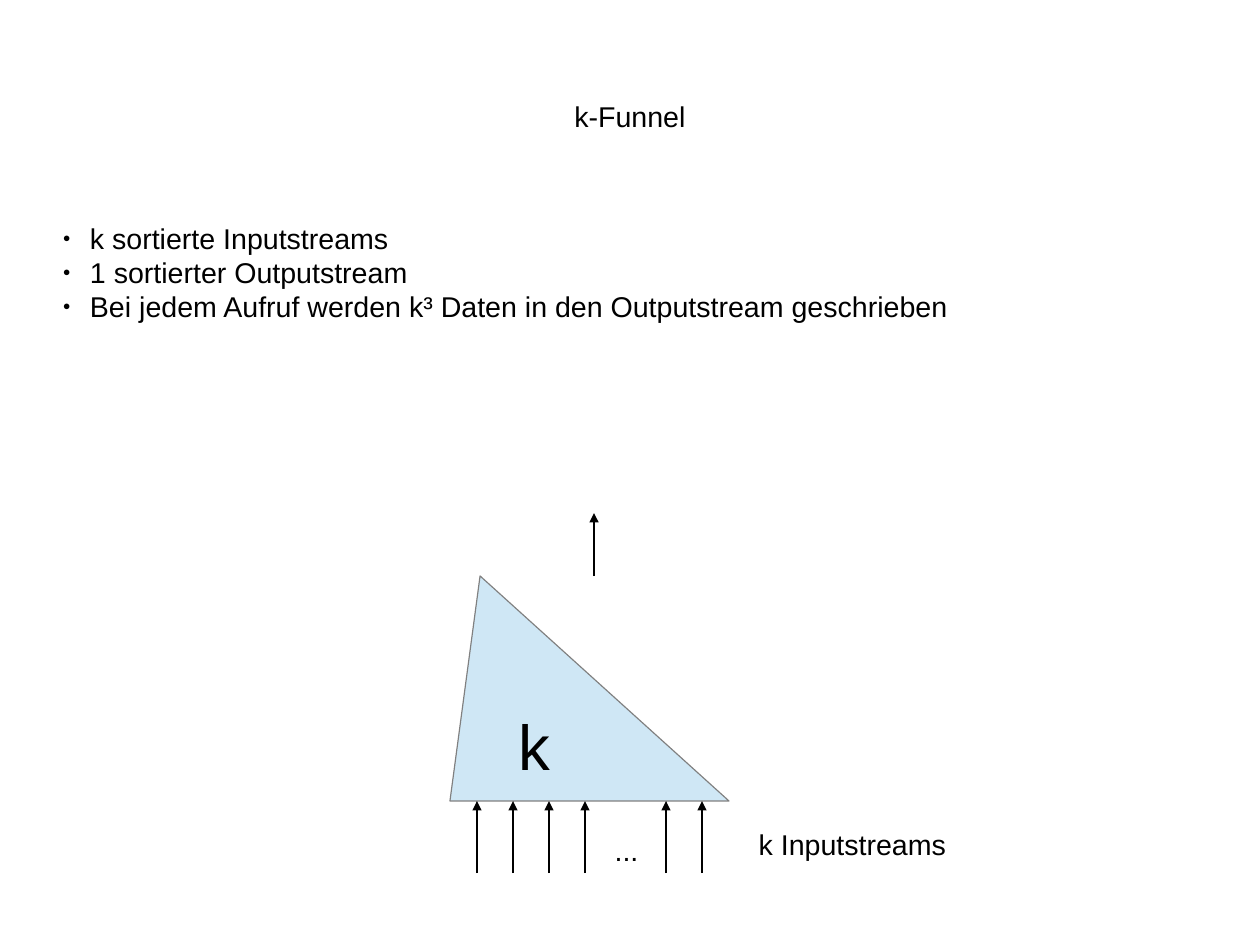
from lxml.etree import SubElement
from pptx import Presentation
from pptx.dml.color import RGBColor
from pptx.enum.shapes import MSO_CONNECTOR, MSO_SHAPE
from pptx.enum.text import MSO_ANCHOR, PP_ALIGN
from pptx.oxml.ns import qn
from pptx.util import Cm, Pt

TITLE = "k-Funnel"
POINTS = [
    "k sortierte Inputstreams",
    "1 sortierter Outputstream",
    "Bei jedem Aufruf werden k³ Daten in den Outputstream geschrieben",
]
FUNNEL = "k"
LABELS = [
    ("...", (13.41, 18.39, 2.39, 0.97)),
    ("k Inputstreams", (16.61, 18.24, 6, 0.97)),
]
GROUPS = [(10.6, 4), (14.8, 2)]
COLORS = {"text": "000000", "fill": "CFE7F5", "edge": "808080", "arrow": "000000"}

LEFT, TOP, WIDE, HIGH = 10, 12.8, 6.2, 5
BASE = TOP + HIGH
STEP = 0.8


def color(name):
    return RGBColor.from_string(COLORS[name])


def add_dot(para):
    props = para._p.get_or_add_pPr()
    props.set("marL", str(Cm(0.6)))
    props.set("indent", str(-Cm(0.6)))
    SubElement(props, qn("a:buSzPct"), val="45000")
    SubElement(props, qn("a:buFont"), typeface="Arial")
    SubElement(props, qn("a:buChar"), char="●")


def write(shape, *lines, size=18, align=PP_ALIGN.LEFT, anchor=MSO_ANCHOR.TOP,
          inset=(0.25, 0.13), dots=False):
    frame = shape.text_frame
    frame.word_wrap = True
    frame.vertical_anchor = anchor
    frame.margin_left = frame.margin_right = Cm(inset[0])
    frame.margin_top = frame.margin_bottom = Cm(inset[1])
    for i, line in enumerate(lines):
        para = frame.add_paragraph() if i else frame.paragraphs[0]
        para.alignment = align
        if dots:
            add_dot(para)
        run = para.add_run()
        run.text = line
        run.font.name = "Arial"
        run.font.size = Pt(size)
        run.font.color.rgb = color("text")


def add_box(slide, place, *lines, **style):
    write(slide.shapes.add_textbox(*map(Cm, place)), *lines, **style)


def add_arrow(slide, x, start, end):
    line = slide.shapes.add_connector(
        MSO_CONNECTOR.STRAIGHT, Cm(x), Cm(start), Cm(x), Cm(end))
    line.line.color.rgb = color("arrow")
    line.line.width = Pt(0.75)
    SubElement(line.line._get_or_add_ln(), qn("a:tailEnd"), type="triangle")
    SubElement(line._element.spPr, qn("a:effectLst"))


def add_funnel(slide):
    shape = slide.shapes.add_shape(
        MSO_SHAPE.ISOSCELES_TRIANGLE, *map(Cm, (LEFT, TOP, WIDE, HIGH)))
    shape.adjustments[0] = 0.108
    shape.shadow.inherit = False
    shape.fill.solid()
    shape.fill.fore_color.rgb = color("fill")
    shape.line.color.rgb = color("edge")
    shape.line.width = Pt(0.75)
    write(shape, FUNNEL, size=40, align=PP_ALIGN.CENTER, anchor=MSO_ANCHOR.MIDDLE)


def main():
    deck = Presentation()
    deck.slide_width, deck.slide_height = Cm(28), Cm(21)
    slide = deck.slides.add_slide(deck.slide_layouts[6])
    add_box(slide, (1.4, 0.84, 25.2, 3.5), TITLE, align=PP_ALIGN.CENTER,
            anchor=MSO_ANCHOR.MIDDLE, inset=(0, 0))
    add_box(slide, (1.4, 4.9, 24.64, 12.17), *POINTS, inset=(0, 0), dots=True)
    add_funnel(slide)
    for first, count in GROUPS:
        for i in range(count):
            add_arrow(slide, first + i * STEP, BASE + 1.6, BASE)
    for text, place in LABELS:
        add_box(slide, place, text)
    add_arrow(slide, 13.2, TOP, TOP - 1.4)
    deck.save("out.pptx")


if __name__ == "__main__":
    main()
